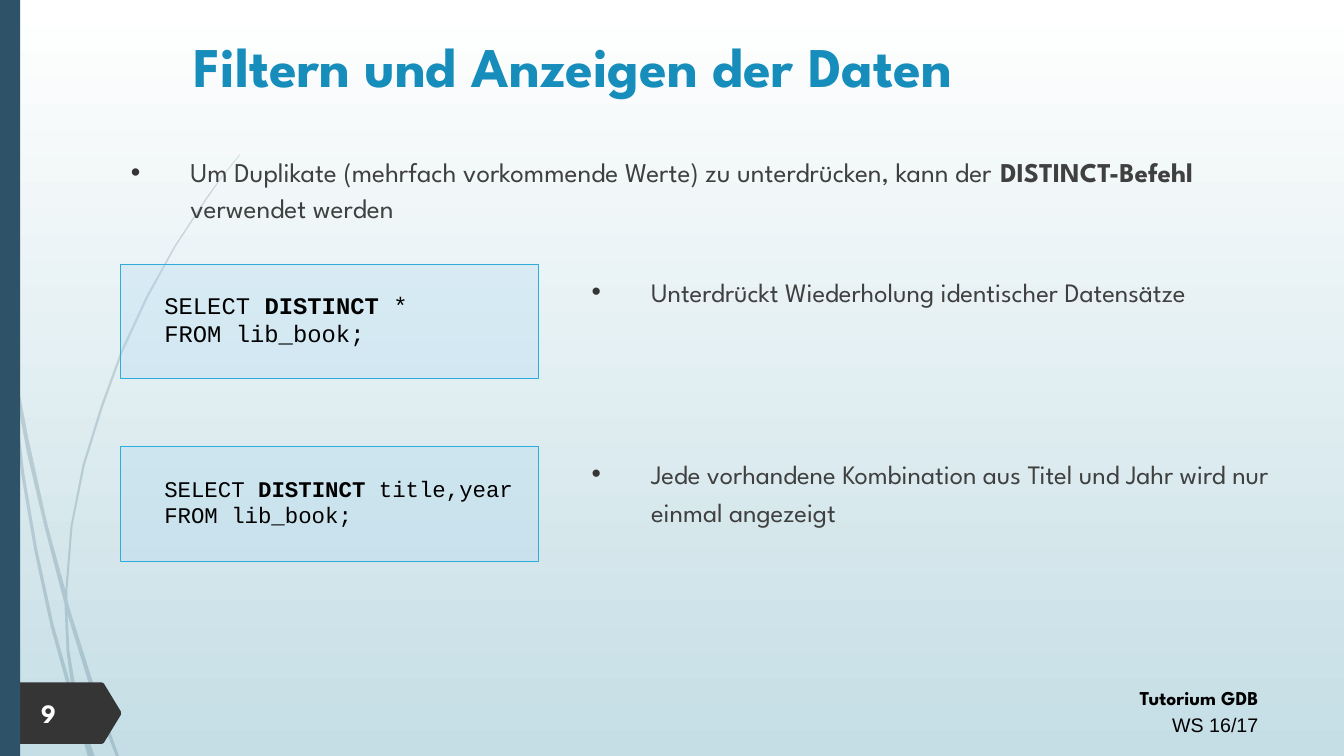
"""Builds a slide on the DISTINCT command in SQL."""
from lxml import etree
from pptx import Presentation
from pptx.dml.color import RGBColor
from pptx.enum.shapes import MSO_SHAPE
from pptx.enum.text import MSO_ANCHOR, PP_ALIGN
from pptx.oxml.ns import qn
from pptx.util import Inches, Pt

RECT = MSO_SHAPE.RECTANGLE
TOP, MID = MSO_ANCHOR.TOP, MSO_ANCHOR.MIDDLE
LEFT, MIDDLE, RIGHT = PP_ALIGN.LEFT, PP_ALIGN.CENTER, PP_ALIGN.RIGHT
SANS, MONO, PLAIN = "League Spartan", "Courier New", "Arial"
HUES = {
    "white": "FFFFFF", "mist": "C5DEE5", "navy": "2E5369", "dark": "353535",
    "title": "178DBB", "body": "404040", "black": "000000",
    "box": "A8D5F0", "edge": "2FACDC",
}


def write(shape, text, size, hue, font=SANS, align=LEFT, anchor=TOP, space=None,
          before=0, bullet=False, inset=(0.1, 0.05, 0.1, 0.05)):
    """Append lines of text to a shape; parts between bars are bold."""
    frame = shape.text_frame
    frame.word_wrap = True
    frame.vertical_anchor = anchor
    (frame.margin_left, frame.margin_top,
     frame.margin_right, frame.margin_bottom) = map(Inches, inset)
    for line in text.split("\n"):
        para = frame.add_paragraph() if frame.text else frame.paragraphs[0]
        para.alignment = align
        para.line_spacing = space
        para.space_before = Pt(before)
        if bullet:
            props = para._p.get_or_add_pPr()
            props.set("marL", str(Inches(0.59)))
            props.set("indent", str(Inches(-0.59)))
            tint = etree.SubElement(props, qn("a:buClr"))
            etree.SubElement(tint, qn("a:srgbClr"), val=HUES["dark"])
            etree.SubElement(props, qn("a:buFont"), typeface=PLAIN)
            etree.SubElement(props, qn("a:buChar"), char="•")
        for part, words in enumerate(line.split("|")):
            if words:
                run = para.add_run()
                run.text = words
                run.font.size = Pt(size)
                run.font.name = font
                run.font.bold = part % 2 == 1
                run.font.color.rgb = RGBColor.from_string(HUES[hue])


def paint(shape, hue, alpha=100, edge=None):
    """Give a shape a flat fill and an optional thin edge."""
    shape.shadow.inherit = False
    shape.fill.solid()
    shape.fill.fore_color.rgb = RGBColor.from_string(HUES[hue])
    if alpha < 100:
        tint = shape._element.spPr.find(qn("a:solidFill"))[0]
        etree.SubElement(tint, qn("a:alpha"), val=str(alpha * 1000))
    if edge:
        shape.line.color.rgb = RGBColor.from_string(HUES[edge])
        shape.line.width = Pt(0.75)
    else:
        shape.line.fill.background()


deck = Presentation()
deck.slide_width, deck.slide_height = Inches(13.33), Inches(7.5)
slide = deck.slides.add_slide(deck.slide_layouts[5])
shapes = slide.shapes

back = slide.background.fill
back.gradient()
back.gradient_angle = 270
for stop, hue, place in zip(back.gradient_stops, ("white", "mist"), (0, 1)):
    stop.color.rgb = RGBColor.from_string(HUES[hue])
    stop.position = place

WISPS = [
    [(0.44, 5.22), (0.64, 5.99), (0.65, 5.86), (0.47, 5.2), (0.28, 4.34),
     (0.11, 3.45), (0.13, 3.76), (0.27, 4.5)],
    [(0.7, 6.07), (0.67, 5.96), (0.67, 6.1), (0.93, 6.94), (1.15, 7.5),
     (1.18, 7.5), (0.97, 6.92)],
    [(0.91, 7.5), (0.94, 7.5), (0.8, 7.11)],
    [(0.71, 6.83), (0.53, 6.19), (0.37, 5.45), (0.24, 4.69), (0.13, 3.76),
     (0.08, 3.5), (0.21, 4.7), (0.34, 5.46), (0.5, 6.21), (0.7, 6.93),
     (0.77, 7.14), (0.75, 7.07)],
    [(0.64, 5.99), (0.66, 6.46), (0.71, 6.83), (0.73, 6.92), (0.8, 7.11),
     (0.79, 7.06), (0.69, 6.46), (0.67, 6.1), (0.67, 6.08)],
    [(0.67, 5.84), (0.72, 5.22), (0.84, 4.62), (1.02, 4.04), (1.22, 3.49),
     (1.47, 2.95), (1.74, 2.45), (2.05, 1.98), (2.21, 1.75), (2.38, 1.54),
     (2.38, 1.53), (2.2, 1.75), (2.04, 1.97), (1.73, 2.44), (1.45, 2.94),
     (1.2, 3.48), (1, 4.03), (0.82, 4.61), (0.7, 5.22), (0.65, 5.84),
     (0.65, 5.86), (0.67, 5.96)],
    [(0.77, 7.14), (0.87, 7.5), (0.9, 7.5)],
    [(0.67, 6.08), (0.67, 5.96), (0.65, 5.86), (0.64, 5.99)],
    [(0.74, 6.92), (0.71, 6.83), (0.75, 7.07), (0.77, 7.14), (0.9, 7.5),
     (0.91, 7.5), (0.8, 7.11)],
]
FLAG = [(0, 6.77), (1.01, 6.77), (1.03, 6.78), (1.2, 7.06), (1.2, 7.09),
        (1.03, 7.37), (1.01, 7.38), (0, 7.38)]
forms = [(wisp, "navy", 20) for wisp in WISPS] + [(FLAG, "dark", 100)]
for points, hue, alpha in forms:
    spots = [(Inches(x), Inches(y)) for x, y in points]
    pen = shapes.build_freeform(*spots[0])
    pen.add_line_segments(spots[1:])
    paint(pen.convert_to_shape(), hue, alpha)

bar = shapes.add_shape(RECT, 0, 0, Inches(0.2), Inches(7.5))
paint(bar, "navy")

title = shapes.title
title.left, title.top, title.width, title.height = map(
    Inches, (1.2, 0.24, 8.97, 0.81))
write(title, "|Filtern und Anzeigen der Daten", 40, "title", align=MIDDLE,
      anchor=MID)

foot = shapes.add_textbox(*map(Inches, (7.38, 6.72, 5.2, 0.64)))
for line, font in (("|Tutorium GDB", SANS), ("WS 16/17", PLAIN)):
    write(foot, line, 14, "black", font=font, align=RIGHT, space=1.14)

page = shapes.add_textbox(*map(Inches, (0.31, 6.86, 0.7, 0.42)))
write(page, "|9", 19, "white")

intro = shapes.add_textbox(*map(Inches, (1.2, 1.46, 11.38, 1.15)))
write(intro, "Um Duplikate (mehrfach vorkommende Werte) zu unterdrücken, "
      "kann der |DISTINCT-Befehl |verwendet werden", 19.4, "body",
      space=1.1, before=10, bullet=True)

CASES = [
    (2.62, 17, "SELECT |DISTINCT| *\nFROM lib_book;", 6.38,
     "Unterdrückt Wiederholung identischer Datensätze"),
    (4.43, 16, "SELECT |DISTINCT |title,year\nFROM lib_book;", 6.97,
     "Jede vorhandene Kombination aus Titel und Jahr wird nur "
     "einmal angezeigt"),
]
for top, size, code, width, note in CASES:
    box = shapes.add_shape(RECT, *map(Inches, (1.2, top, 4.14, 1.14)))
    paint(box, "box", 27, "edge")
    write(box, code, size, "black", font=MONO, anchor=MID,
          inset=(0.43, 0, 0.1, 0.05))
    text = shapes.add_textbox(*map(Inches, (5.77, top, width, 1.41)))
    write(text, note, 19, "body", space=1.2, before=10, bullet=True)

deck.save("out.pptx")
